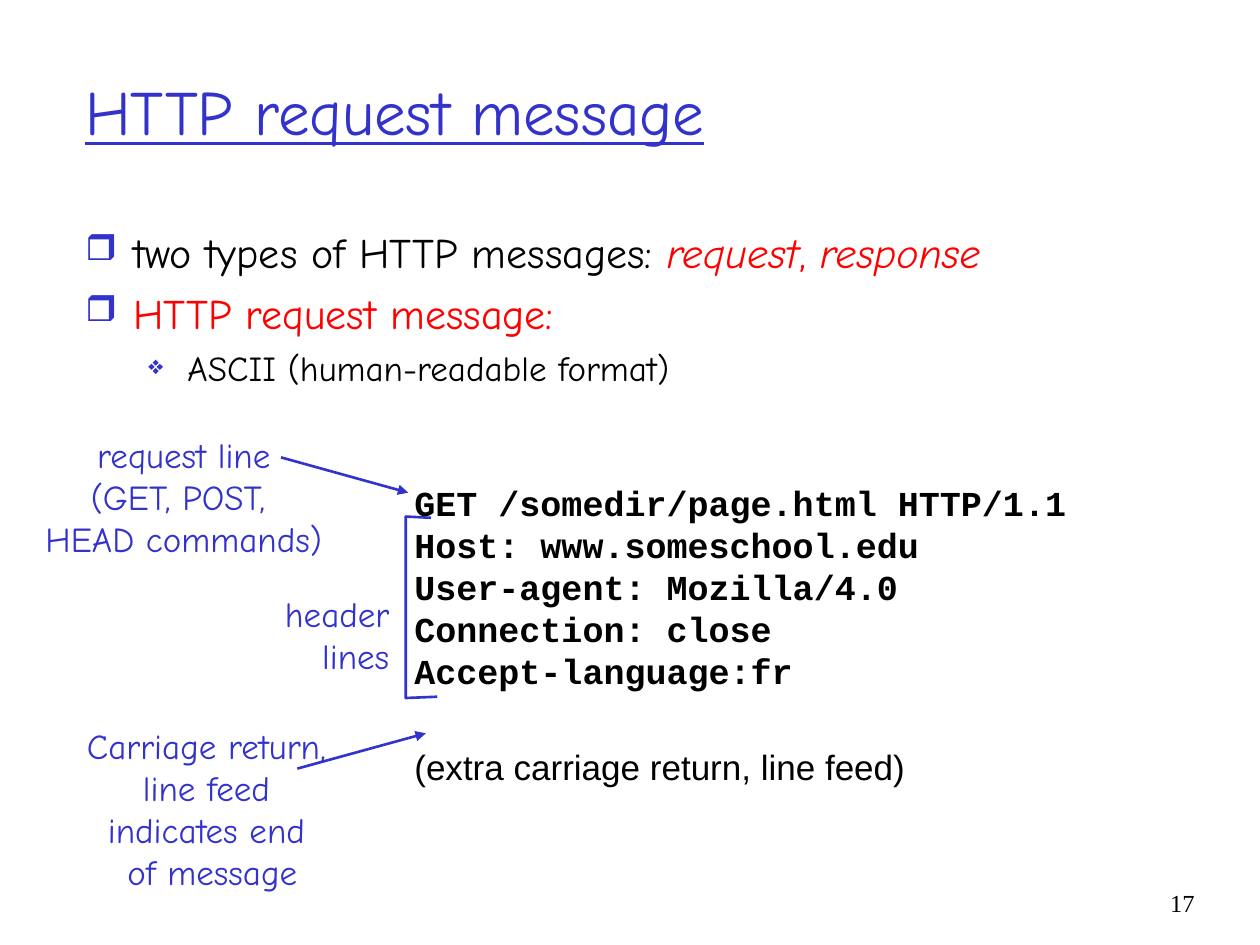
from lxml import etree
from pptx import Presentation
from pptx.dml.color import RGBColor
from pptx.enum.shapes import MSO_CONNECTOR
from pptx.enum.text import MSO_ANCHOR, MSO_AUTO_SIZE, PP_ALIGN
from pptx.oxml.ns import qn
from pptx.util import Inches, Pt

LEFT, CENTER, RIGHT = PP_ALIGN.LEFT, PP_ALIGN.CENTER, PP_ALIGN.RIGHT
TOP, MIDDLE = MSO_ANCHOR.TOP, MSO_ANCHOR.MIDDLE
FIT_SHAPE = MSO_AUTO_SIZE.SHAPE_TO_FIT_TEXT
STRAIGHT = MSO_CONNECTOR.STRAIGHT
BLUE, RED, BLACK = "3333CC", "FF0000", "000000"
COMIC, COURIER, ARIAL, TIMES = "Comic Neue", "Courier New", "Arial", "Times New Roman"
CODE = [
    "GET /somedir/page.html HTTP/1.1",
    "Host: www.someschool.edu",
    "User-agent: Mozilla/4.0",
    "Connection: close",
    "Accept-language:fr",
]


def color(value):
    """Turn a hex string into a colour."""
    return RGBColor.from_string(value)


def add_box(page, left, top, width, height, wrap=True, anchor=TOP):
    """Add a text box and return its text frame."""
    box = page.shapes.add_textbox(Inches(left), Inches(top), Inches(width), Inches(height))
    frame = box.text_frame
    frame.word_wrap = wrap
    frame.vertical_anchor = anchor
    if not wrap:
        frame.auto_size = FIT_SHAPE
    return frame


def add_para(frame, align=LEFT, before=0):
    """Return the next paragraph, reusing the empty first one."""
    first = frame.paragraphs[0]
    para = frame.add_paragraph() if first.runs else first
    para.alignment = align
    if before:
        para.space_before = Pt(before)
    return para


def add_span(para, text, font, size, ink, bold=False, italic=False, underline=False):
    """Add one formatted run."""
    span = para.add_run()
    span.text = text
    span.font.name = font
    span.font.size = Pt(size)
    span.font.color.rgb = color(ink)
    span.font.bold = bold
    span.font.italic = italic
    span.font.underline = underline


def add_bullet(para, char, margin, indent, percent, level=0):
    """Give a paragraph a blue bullet with a hanging indent."""
    para.level = level
    props = para._p.get_or_add_pPr()
    props.set("marL", str(Inches(margin)))
    props.set("indent", str(-Inches(indent)))
    tint = etree.SubElement(props, qn("a:buClr"))
    etree.SubElement(tint, qn("a:srgbClr"), val=BLUE)
    etree.SubElement(props, qn("a:buSzPct"), val=str(percent * 1000))
    etree.SubElement(props, qn("a:buChar"), char=char)


def add_label(page, left, top, width, height, lines, align):
    """Add a blue annotation of several lines."""
    frame = add_box(page, left, top, width, height, wrap=False)
    for line in lines:
        add_span(add_para(frame, align), line, COMIC, 20, BLUE)


def style_line(line):
    """Make a line thin and blue."""
    line.color.rgb = color(BLUE)
    line.width = Pt(1.5)


def add_arrow(page, start, end):
    """Add a straight arrow between two points."""
    arrow = page.shapes.add_connector(STRAIGHT, *map(Inches, start + end))
    style_line(arrow.line)
    etree.SubElement(arrow.line._get_or_add_ln(), qn("a:tailEnd"), type="triangle")
    etree.SubElement(arrow._element.spPr, qn("a:effectLst"))


def add_bracket(page, points):
    """Add an open bracket through the given points."""
    start, *rest = [(Inches(x), Inches(y)) for x, y in points]
    builder = page.shapes.build_freeform(*start)
    builder.add_line_segments(rest, close=False)
    bracket = builder.convert_to_shape()
    bracket.shadow.inherit = False
    bracket.fill.background()
    style_line(bracket.line)


def add_body(page):
    """Add the bulleted text."""
    frame = add_box(page, 0.58, 1.75, 8.5, 5.08)
    para = add_para(frame)
    add_bullet(para, "❒", 0.38, 0.38, 85)
    add_span(para, "two types of HTTP messages: ", COMIC, 24, BLACK)
    for text, italic in (("request", True), (", ", False), ("response", True)):
        add_span(para, text, COMIC, 24, RED, italic=italic)
    para = add_para(frame, before=6)
    add_bullet(para, "❒", 0.38, 0.38, 85)
    add_span(para, "HTTP request message:", COMIC, 24, RED)
    para = add_para(frame, before=5)
    add_bullet(para, "❖", 0.81, 0.31, 75, level=1)
    add_span(para, "ASCII (human-readable format)", COMIC, 20, BLACK)


def add_request(page):
    """Add the sample request and its closing remark."""
    frame = add_box(page, 3.19, 3.77, 5.38, 2.57, wrap=False)
    for line in CODE:
        add_span(add_para(frame), line, COURIER, 20, BLACK, bold=True)
    remark = add_para(frame, before=31)
    add_span(remark, "(extra carriage return, line feed)", ARIAL, 20, BLACK)


def main():
    """Build the slide and save it."""
    deck = Presentation()
    deck.slide_width, deck.slide_height = Inches(10), Inches(7.5)
    page = deck.slides.add_slide(deck.slide_layouts[6])

    number = add_para(add_box(page, 9.08, 7, 0.5, 0.5), RIGHT)
    add_span(number, "17", TIMES, 14, BLACK)
    title = add_para(add_box(page, 0.58, 0.25, 8.5, 1.25, anchor=MIDDLE))
    add_span(title, "HTTP request message", COMIC, 36, BLUE, underline=True)
    add_body(page)
    add_request(page)

    add_label(page, 0.26, 3.39, 2.4, 1.1,
              ["request line", "(GET, POST, ", "HEAD commands)"], CENTER)
    add_arrow(page, (2.23, 3.63), (3.24, 3.91))
    add_bracket(page, [(3.42, 4.11), (3.22, 4.1), (3.22, 5.54), (3.47, 5.53)])
    add_label(page, 2.16, 4.65, 1.03, 0.77, ["header", "lines"], RIGHT)
    add_arrow(page, (2.36, 6.1), (3.38, 5.82))
    add_label(page, 0.59, 5.7, 2.19, 1.44,
              ["Carriage return, ", "line feed ", "indicates end ", "of message"], CENTER)

    deck.save("out.pptx")


if __name__ == "__main__":
    main()
